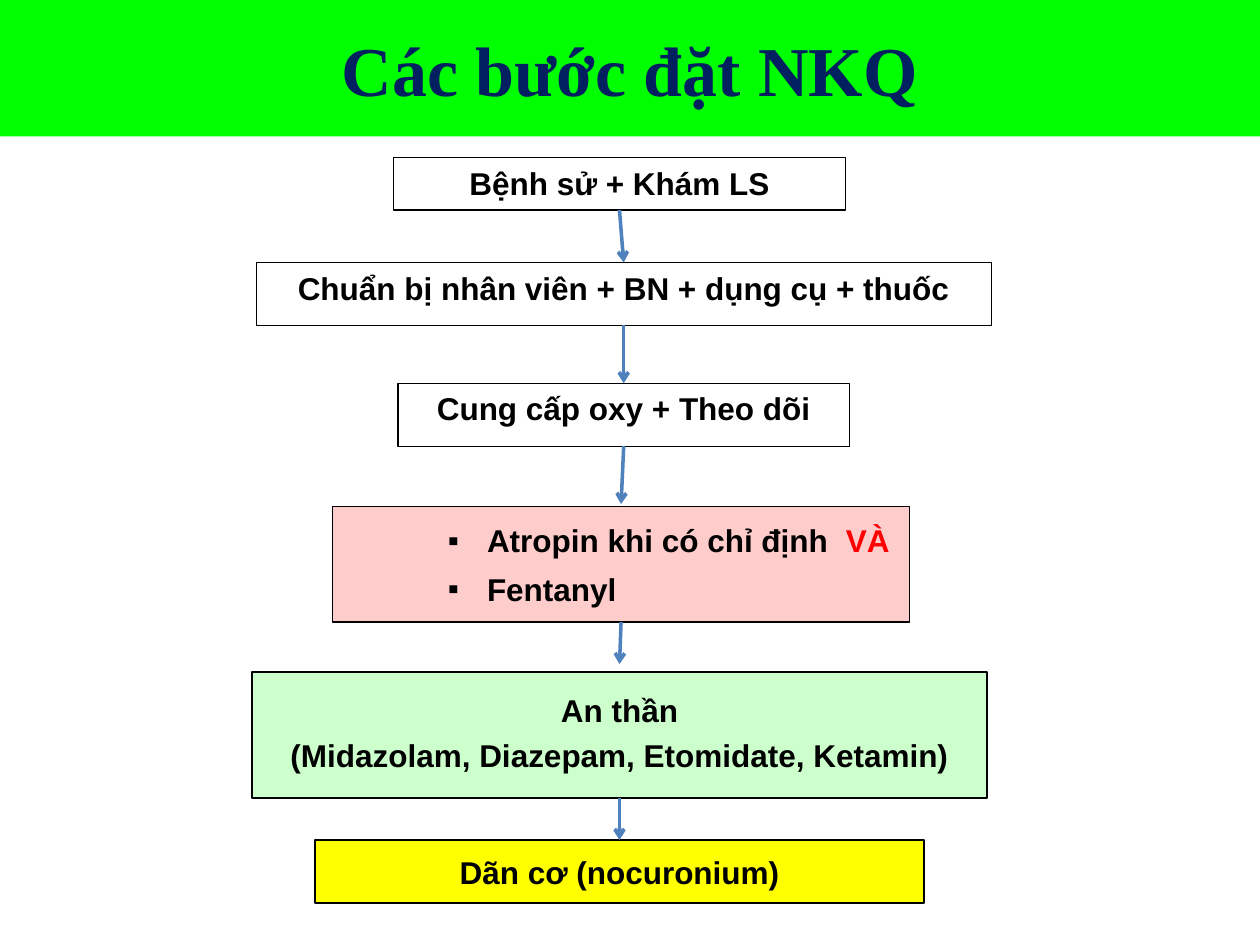
from dataclasses import dataclass
from itertools import pairwise

from pptx import Presentation
from pptx.dml.color import RGBColor
from pptx.enum.shapes import MSO_CONNECTOR, MSO_SHAPE
from pptx.enum.text import MSO_ANCHOR, PP_ALIGN
from pptx.oxml.ns import qn
from pptx.util import Inches, Pt
from lxml.etree import SubElement

WIDTH, HEIGHT = Inches(10), Inches(7.5)
COLUMNS, ROWS = 24, 18
BOTTOM_SITE, TOP_SITE = 2, 0

BLACK = RGBColor(0, 0, 0)
RED = RGBColor(255, 0, 0)
NAVY = RGBColor(0, 32, 96)
BLUE = RGBColor(79, 129, 189)
LIME = RGBColor(0, 255, 0)
PINK = RGBColor(255, 204, 204)
MINT = RGBColor(204, 255, 204)
YELLOW = RGBColor(255, 255, 0)


@dataclass
class Step:
    place: tuple
    lines: list
    fill: RGBColor | None = None
    anchor: MSO_ANCHOR = MSO_ANCHOR.MIDDLE
    bulleted: bool = False
    spacing: float = 1.0
    gap_above: float = 0


STEPS = [
    Step((7.5, 3, 8.6, 1), ["Bệnh sử + Khám LS"], anchor=MSO_ANCHOR.TOP),
    Step((4.88, 5, 14, 1.2), ["Chuẩn bị nhân viên + BN + dụng cụ + thuốc"],
         anchor=MSO_ANCHOR.TOP),
    Step((7.58, 7.3, 8.6, 1.2), ["Cung cấp oxy + Theo dõi"], anchor=MSO_ANCHOR.TOP),
    Step((6.33, 9.65, 11, 2.2), ["Atropin khi có chỉ định  VÀ", "Fentanyl"], PINK,
         bulleted=True, gap_above=0.05),
    Step((4.8, 12.8, 14, 2.4), ["An thần", "(Midazolam, Diazepam, Etomidate, Ketamin)"],
         MINT, spacing=0.9, gap_above=0.15),
    Step((6, 16, 11.6, 1.2), ["Dãn cơ (nocuronium)"], YELLOW),
]


def across(columns):
    return round(WIDTH * columns / COLUMNS)


def down(rows):
    return round(HEIGHT * rows / ROWS)


def add_box(slide, place, fill, outlined=True):
    left, top, width, height = place
    shape = slide.shapes.add_shape(
        MSO_SHAPE.RECTANGLE, across(left), down(top), across(width), down(height))
    shape.shadow.inherit = False
    if fill is None:
        shape.fill.background()
    else:
        shape.fill.solid()
        shape.fill.fore_color.rgb = fill
    if outlined:
        shape.line.color.rgb = BLACK
        shape.line.width = Pt(0.75)
    else:
        shape.line.fill.background()
    return shape


def style_font(font, name, size, color):
    font.name = name
    font.size = Pt(size)
    font.bold = True
    font.color.rgb = color


def add_bullet(paragraph):
    properties = paragraph._p.get_or_add_pPr()
    properties.set("marL", str(Inches(1.13)))
    properties.set("indent", str(Inches(-0.31)))
    color = SubElement(properties, qn("a:buClr"))
    SubElement(color, qn("a:srgbClr"), val=str(BLACK))
    SubElement(properties, qn("a:buFont"), typeface="Arial")
    SubElement(properties, qn("a:buChar"), char="▪")


def add_title(slide, text):
    shape = add_box(slide, (0, 0, COLUMNS, 2.6), LIME, outlined=False)
    shape.text_frame.text = text
    shape.text_frame.vertical_anchor = MSO_ANCHOR.MIDDLE
    paragraph = shape.text_frame.paragraphs[0]
    paragraph.alignment = PP_ALIGN.CENTER
    style_font(paragraph.runs[0].font, "Times New Roman", 40, NAVY)


def add_step(slide, step):
    shape = add_box(slide, step.place, step.fill)
    text_frame = shape.text_frame
    text_frame.text = "\n".join(step.lines)
    text_frame.word_wrap = True
    text_frame.vertical_anchor = step.anchor
    for index, paragraph in enumerate(text_frame.paragraphs):
        if step.bulleted:
            add_bullet(paragraph)
        paragraph.alignment = PP_ALIGN.JUSTIFY if step.bulleted else PP_ALIGN.CENTER
        paragraph.line_spacing = step.spacing
        if index:
            paragraph.space_before = Pt(6)
        style_font(paragraph.runs[0].font, "Arial", 18, BLACK)
    return shape


def highlight_ending(paragraph, ending):
    run = paragraph.runs[0]
    run.text = run.text.removesuffix(ending)
    highlight = paragraph.add_run()
    highlight.text = ending
    style_font(highlight.font, "Arial", 18, RED)


def add_arrow(slide, upper, lower, gap):
    connector = slide.shapes.add_connector(
        MSO_CONNECTOR.STRAIGHT,
        upper.left + upper.width // 2, upper.top + upper.height,
        lower.left + lower.width // 2, lower.top - down(gap))
    connector.begin_connect(upper, BOTTOM_SITE)
    if not gap:
        connector.end_connect(lower, TOP_SITE)
    connector.line.color.rgb = BLUE
    connector.line.width = Pt(2)
    SubElement(connector.line._get_or_add_ln(), qn("a:tailEnd"), type="arrow")
    SubElement(connector._element.spPr, qn("a:effectLst"))


def main():
    presentation = Presentation()
    presentation.slide_width, presentation.slide_height = WIDTH, HEIGHT
    slide = presentation.slides.add_slide(presentation.slide_layouts[6])
    add_title(slide, "Các bước đặt NKQ")
    boxes = [add_step(slide, step) for step in STEPS]
    highlight_ending(boxes[3].text_frame.paragraphs[0], "VÀ")
    for (upper, lower), step in zip(pairwise(boxes), STEPS[1:]):
        add_arrow(slide, upper, lower, step.gap_above)
    presentation.save("out.pptx")


if __name__ == "__main__":
    main()
